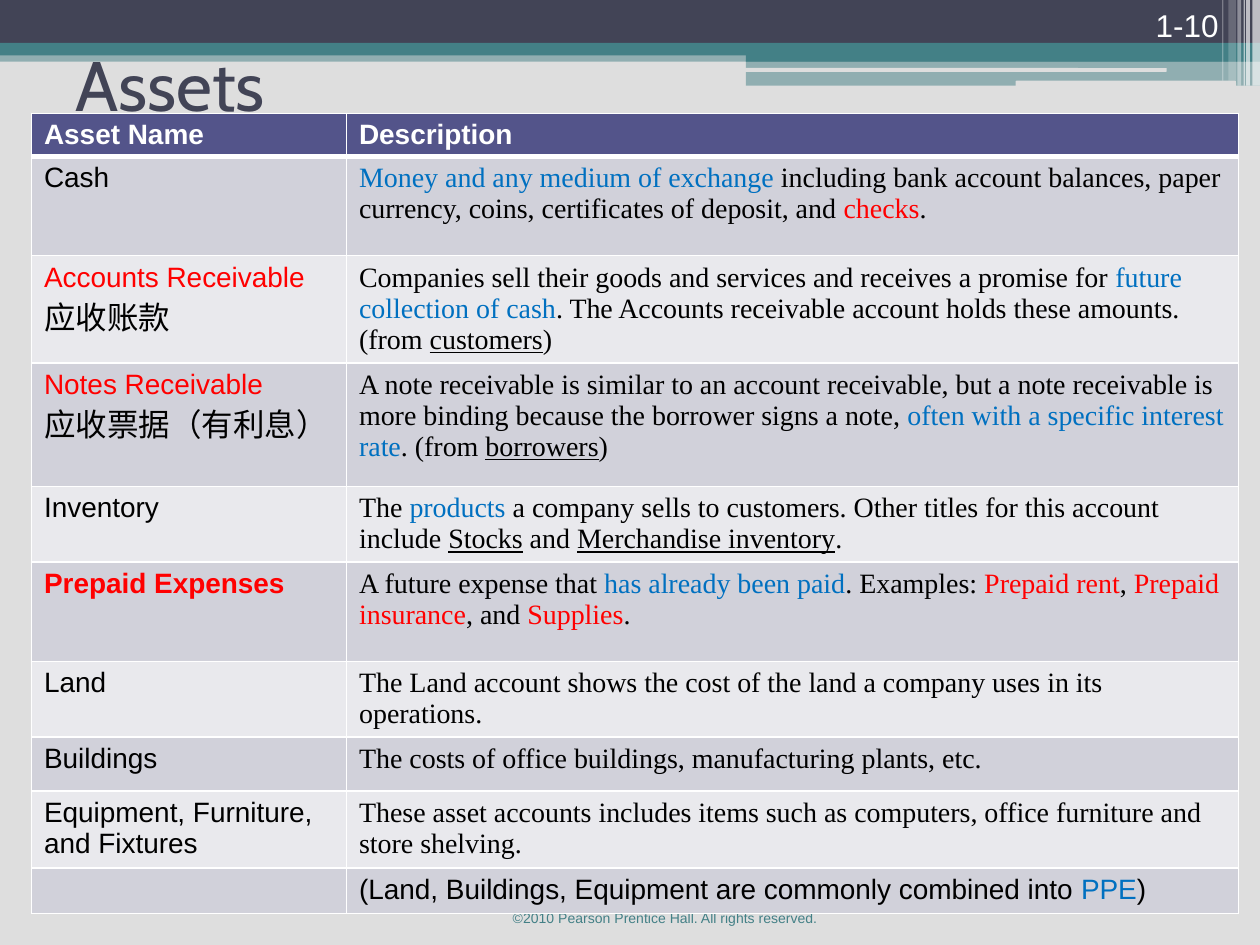
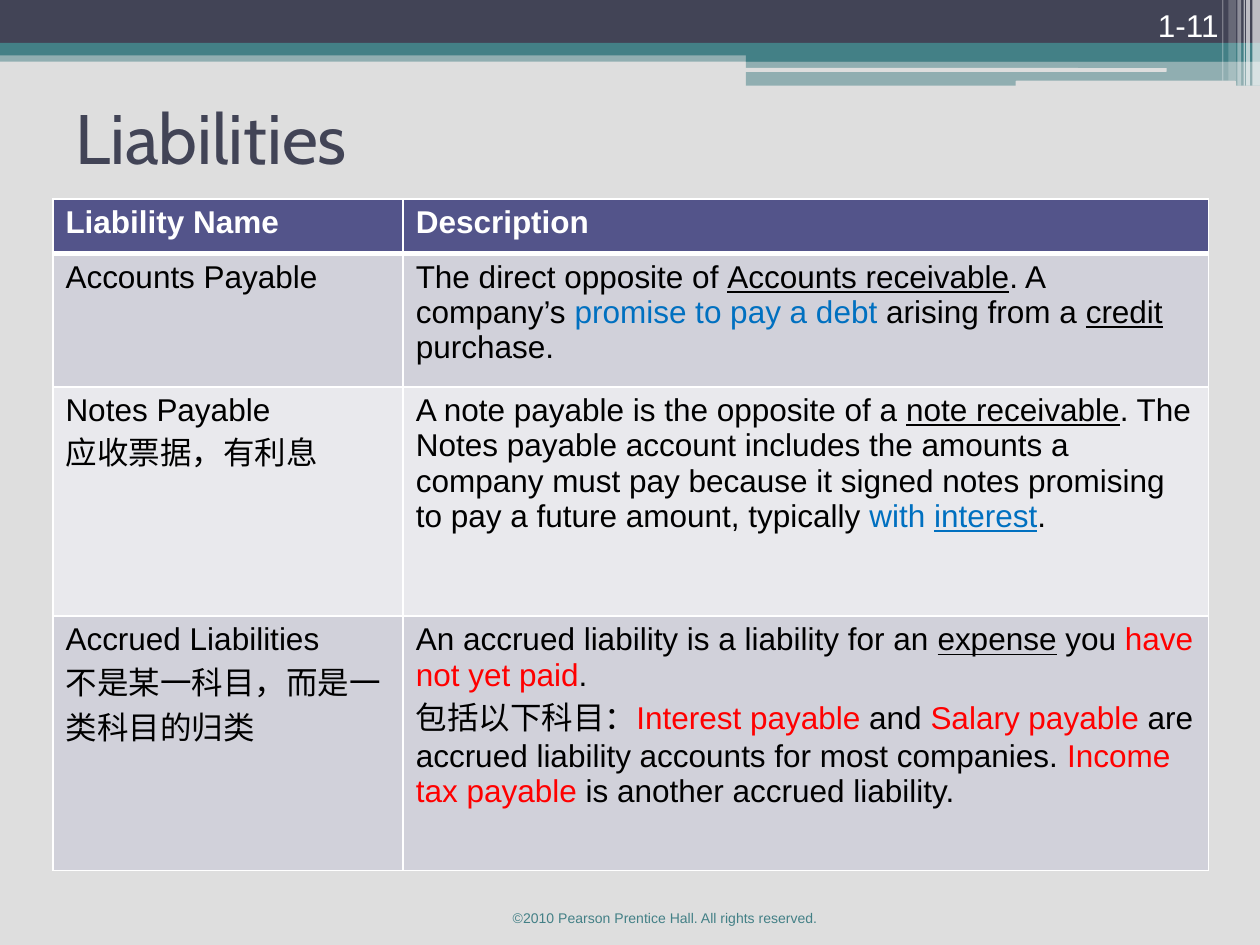
import pptx
import pptx.dml.color
import pptx.enum.shapes
import pptx.enum.text
import pptx.oxml.ns
import pptx.util
from lxml import etree

Inches = pptx.util.Inches
Pt = pptx.util.Pt
RGBColor = pptx.dml.color.RGBColor
Shape = pptx.enum.shapes.MSO_SHAPE
Anchor = pptx.enum.text.MSO_ANCHOR
Align = pptx.enum.text.PP_ALIGN
qn = pptx.oxml.ns.qn

PAPER = RGBColor(0xDE, 0xDE, 0xDE)
SLATE = RGBColor(0x42, 0x44, 0x56)
TEAL = RGBColor(0x43, 0x80, 0x86)
WHITE = RGBColor(0xFF, 0xFF, 0xFF)
BLACK = RGBColor(0x00, 0x00, 0x00)
BLUE = RGBColor(0x00, 0x70, 0xC0)
RED = RGBColor(0xFF, 0x00, 0x00)
HEADER = RGBColor(0x53, 0x54, 0x8A)
ROW_FILLS = [RGBColor(0xD1, 0xD1, 0xDA), RGBColor(0xE9, 0xE9, 0xED)]
SANS, SERIF, TITLE_FONT = "Arial", "Times New Roman", "Cabin"

# Looks of a run: colour, bold, underline
PLAIN = (BLACK, False, False)
KEY = (BLUE, False, False)
KEY_UNDER = (BLUE, False, True)
ALERT = (RED, False, False)
ALERT_BOLD = (RED, True, False)
UNDER = (BLACK, False, True)
HEAD = (WHITE, True, False)

# Header bands: left, top, width, height, shape, colour, opacity in percent
BANDS = [
    (0, 0.4, 10, 0.09, Shape.RECTANGLE, TEAL, 50),
    (0, 0, 10, 0.34, Shape.RECTANGLE, SLATE, 100),
    (0, 0.34, 10, 0.1, Shape.RECTANGLE, TEAL, 100),
    (5.92, 0.39, 4.08, 0.1, Shape.RECTANGLE, TEAL, 100),
    (5.92, 0.48, 4.08, 0.2, Shape.RECTANGLE, TEAL, 50),
    (5.91, 0.54, 3.35, 0.03, Shape.ROUNDED_RECTANGLE, PAPER, 100),
    (8.06, 0.64, 1.75, 0.05, Shape.ROUNDED_RECTANGLE, PAPER, 100),
]
# Pale stripes at the right edge: left, width, height, opacity
for left, width, height, opacity in [
    (9.94, 0.06, 0.68, 65), (9.89, 0.03, 0.68, 65), (9.87, 0.01, 0.68, 60),
    (9.82, 0.03, 0.68, 40), (9.75, 0.06, 0.64, 20), (9.7, 0.01, 0.64, 30),
]:
    BANDS.append((left, 0, width, height, Shape.RECTANGLE, WHITE, opacity))

# Rows: height, name, Chinese gloss, look of the name, description font, description
ASSETS = [
    (0.79, "Cash", "", PLAIN, SERIF, [
        ("Money and any medium of exchange", KEY),
        (" including bank account balances, paper currency, coins, "
         "certificates of deposit, and ", PLAIN),
        ("checks", ALERT), (".", PLAIN)]),
    (0.84, "Accounts Receivable", "应收账款", ALERT, SERIF, [
        ("Companies sell their goods and services and receives a promise for ", PLAIN),
        ("future collection of cash", KEY),
        (". The Accounts receivable account holds these amounts. (from ", PLAIN),
        ("customers", UNDER), (")", PLAIN)]),
    (0.98, "Notes Receivable", "应收票据（有利息）", ALERT, SERIF, [
        ("A note receivable is similar to an account receivable, but a note receivable "
         "is more binding because the borrower signs a note, ", PLAIN),
        ("often with a specific interest rate", KEY),
        (". (from ", PLAIN), ("borrowers", UNDER), (")", PLAIN)]),
    (0.6, "Inventory", "", PLAIN, SERIF, [
        ("The ", PLAIN), ("products", KEY),
        (" a company sells to customers. Other titles for this account include ", PLAIN),
        ("Stocks", UNDER), (" and ", PLAIN),
        ("Merchandise inventory", UNDER), (".", PLAIN)]),
    (0.79, "Prepaid Expenses", "", ALERT_BOLD, SERIF, [
        ("A future expense that ", PLAIN), ("has already been paid", KEY),
        (". Examples: ", PLAIN), ("Prepaid rent", ALERT), (", ", PLAIN),
        ("Prepaid insurance", ALERT), (", and ", PLAIN),
        ("Supplies", ALERT), (".", PLAIN)]),
    (0.6, "Land", "", PLAIN, SERIF, [
        ("The Land account shows the cost of the land a company uses in its operations.",
         PLAIN)]),
    (0.43, "Buildings", "", PLAIN, SERIF, [
        ("The costs of office buildings, manufacturing plants, etc.", PLAIN)]),
    (0.61, "Equipment, Furniture, and Fixtures", "", PLAIN, SERIF, [
        ("These asset accounts includes items such as computers, office furniture "
         "and store shelving.", PLAIN)]),
    (0.36, "", "", PLAIN, SANS, [
        ("(Land, Buildings, Equipment are commonly combined into ", PLAIN),
        ("PPE", KEY), (")", PLAIN)]),
]
LIABILITIES = [
    (1.06, "Accounts Payable", "", PLAIN, SANS, [
        ("The direct opposite of ", PLAIN), ("Accounts receivable", UNDER),
        (". A company’s ", PLAIN), ("promise to pay a debt", KEY),
        (" arising from a ", PLAIN), ("credit", UNDER), (" purchase.", PLAIN)]),
    (1.82, "Notes Payable", "应收票据，有利息", PLAIN, SANS, [
        ("A note payable is the opposite of a ", PLAIN), ("note receivable", UNDER),
        (". The Notes payable account includes the amounts a company must pay because "
         "it signed notes promising to pay a future amount, typically ", PLAIN),
        ("with ", KEY), ("interest", KEY_UNDER), (".", PLAIN)]),
    (2.02, "Accrued Liabilities", "不是某一科目，而是一类科目的归类", PLAIN, SANS, [
        ("An accrued liability is a liability for an ", PLAIN), ("expense", UNDER),
        (" you ", PLAIN), ("have not yet paid", ALERT),
        (". \n包括以下科目：", PLAIN), ("Interest payable ", ALERT), ("and ", PLAIN),
        ("Salary payable", ALERT),
        (" are accrued liability accounts for most companies. ", PLAIN),
        ("Income tax payable", ALERT), (" is another accrued liability.", PLAIN)]),
]

# Slides: title, title top and height, page, table left and top,
# column widths, header height, text size, first heading, rows
SLIDES = [
    ("Assets", 0.33, 0.67, "1-10", 0.25, 0.9, (2.5, 7.08), 0.34, 16, "Asset Name", ASSETS),
    ("Liabilities", 0.5, 1.17, "1-11", 0.42, 1.58, (2.78, 6.39), 0.43, 18,
     "Liability Name", LIABILITIES),
]


def add_runs(paragraph, runs, size, font):
    for text, (colour, bold, underline) in runs:
        for number, line in enumerate(text.split("\n")):
            if number:
                paragraph.add_line_break()
            run = paragraph.add_run()
            run.text = line
            run.font.size = Pt(size)
            run.font.name = font
            run.font.color.rgb = colour
            run.font.bold = bold
            run.font.underline = underline


def add_cell_borders(cell, top, bottom):
    properties = cell._tc.get_or_add_tcPr()
    for side, points in (("L", 1), ("R", 1), ("T", top), ("B", bottom)):
        line = etree.SubElement(properties, qn("a:ln" + side), w=str(Pt(points)))
        fill = etree.SubElement(line, qn("a:solidFill"))
        etree.SubElement(fill, qn("a:srgbClr"), val=str(WHITE))


deck = pptx.Presentation()
deck.slide_width, deck.slide_height = Inches(10), Inches(7.5)

for (title, title_top, title_height, page, table_left, table_top,
     widths, header_height, size, heading, accounts) in SLIDES:
    slide = deck.slides.add_slide(deck.slide_layouts[6])
    slide.background.fill.solid()
    slide.background.fill.fore_color.rgb = PAPER

    # Header bands
    for left, top, width, height, kind, colour, opacity in BANDS:
        band = slide.shapes.add_shape(
            kind, Inches(left), Inches(top), Inches(width), Inches(height))
        band.shadow.inherit = False
        band.line.fill.background()
        band.fill.solid()
        band.fill.fore_color.rgb = colour
        if opacity < 100:
            tint = band._element.spPr.find(".//" + qn("a:srgbClr"))
            etree.SubElement(tint, qn("a:alpha"), val=str(opacity * 1000))

    # Title, copyright line and page number
    for text, left, top, width, height, points, font, colour, align, anchor in [
        (title, 0.5, title_top, 9, title_height, 40, TITLE_FONT, SLATE,
         Align.LEFT, Anchor.MIDDLE),
        ("©2010 Pearson Prentice Hall. All rights reserved.", 3.42, 7.17, 3.17, 0.5,
         8, SANS, TEAL, Align.RIGHT, Anchor.TOP),
        (page, 8.94, 0, 0.83, 0.4, 18, SANS, WHITE, Align.RIGHT, Anchor.BOTTOM),
    ]:
        frame = slide.shapes.add_textbox(
            Inches(left), Inches(top), Inches(width), Inches(height)).text_frame
        frame.word_wrap = True
        frame.vertical_anchor = anchor
        frame.paragraphs[0].alignment = align
        add_runs(frame.paragraphs[0], [(text, (colour, False, False))], points, font)

    # Table of accounts
    rows = [(header_height, heading, "", HEAD, SANS, [("Description", HEAD)])] + accounts
    table = slide.shapes.add_table(
        len(rows), 2, Inches(table_left), Inches(table_top), Inches(sum(widths)),
        Inches(sum(row[0] for row in rows))).table
    table.first_row = table.horz_banding = False
    for column, width in zip(table.columns, widths):
        column.width = Inches(width)
    for number, (height, name, gloss, look, font, description) in enumerate(rows):
        table.rows[number].height = Inches(height)
        name_cell, description_cell = table.cell(number, 0), table.cell(number, 1)
        for cell in (name_cell, description_cell):
            # No bottom margin, so the text never stretches its row
            cell.margin_bottom = 0
            add_cell_borders(cell, 3 if number == 1 else 1, 3 if number == 0 else 1)
            cell.fill.solid()
            cell.fill.fore_color.rgb = ROW_FILLS[(number - 1) % 2] if number else HEADER
        name_line = name_cell.text_frame.paragraphs[0]
        if name:
            add_runs(name_line, [(name, look)], size, SANS)
        else:
            etree.SubElement(name_line._p, qn("a:endParaRPr"), sz=str(size * 100))
        if gloss:
            add_runs(name_cell.text_frame.add_paragraph(), [(gloss, PLAIN)], 18, SANS)
        add_runs(description_cell.text_frame.paragraphs[0], description, size, font)

deck.save("out.pptx")
